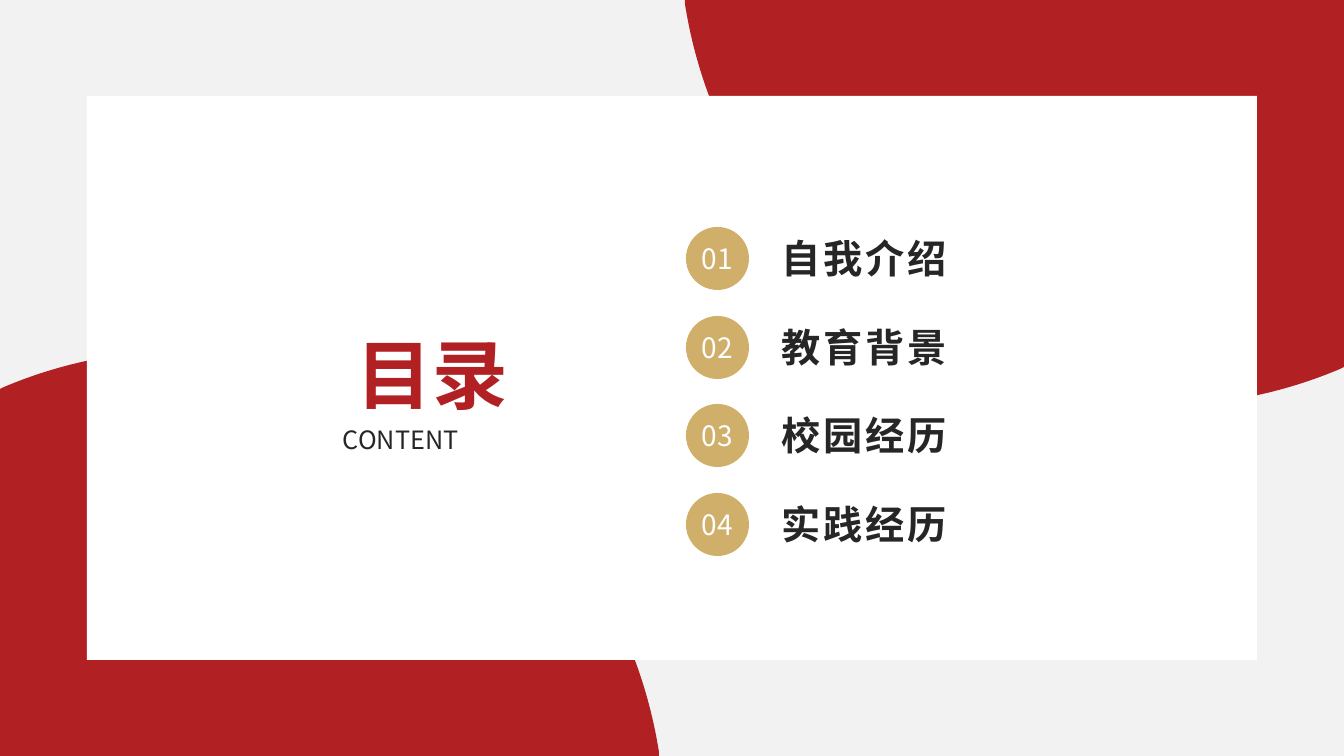
"""Builds the contents slide: a white card over two red curves, with four numbered entries."""
import dataclasses

import pptx
import pptx.dml.color
import pptx.enum.shapes
import pptx.enum.text
import pptx.oxml.ns
import pptx.util
from lxml import etree

WIDTH, HEIGHT = 1344, 756
EMU_PER_PX = 12192000 / WIDTH
FONT = "Noto Sans CJK SC"
RED, GOLD, DARK, WHITE, GREY = "B12124", "CFAF6A", "262626", "FFFFFF", "F2F2F2"
ALIGN = pptx.enum.text.PP_ALIGN
ANCHOR = pptx.enum.text.MSO_ANCHOR
SHAPE = pptx.enum.shapes.MSO_SHAPE
Point = tuple[int, int]


@dataclasses.dataclass
class Box:
    left: int
    top: int
    width: int
    height: int

    def emu(self) -> list[int]:
        return [px(v) for v in (self.left, self.top, self.width, self.height)]


@dataclasses.dataclass
class Style:
    size: int
    color: str
    bold: bool = False
    spacing: int = 0
    align: ALIGN = ALIGN.LEFT
    anchor: ANCHOR = ANCHOR.TOP
    inset: int = 0
    wrap: bool = True
    grow: bool = True


@dataclasses.dataclass
class Entry:
    number: str
    label: str


ENTRIES = [
    Entry("01", "自我介绍"),
    Entry("02", "教育背景"),
    Entry("03", "校园经历"),
    Entry("04", "实践经历"),
]
TITLE = Style(54, RED, bold=True, align=ALIGN.CENTER, wrap=False)
SUBTITLE = Style(18, DARK, align=ALIGN.JUSTIFY)
NUMBER = Style(20, WHITE, align=ALIGN.CENTER, anchor=ANCHOR.MIDDLE, grow=False)
LABEL = Style(28, DARK, bold=True, spacing=200, inset=1)

CORNER = [
    (WIDTH, 0), (685, 0), (685, 4),
    (721, 232), (917, 406), (1155, 406),
    (1221, 406), (1283, 393), (1340, 369),
    (WIDTH, 367),
]
CURVE_STARTS = (2, 5)


def px(value: float) -> int:
    return round(value * EMU_PER_PX)


def rgb(color: str) -> pptx.dml.color.RGBColor:
    return pptx.dml.color.RGBColor.from_string(color)


def paint(sp, color: str) -> None:
    sp.fill.solid()
    sp.fill.fore_color.rgb = rgb(color)
    sp.line.fill.background()
    sp.shadow.inherit = False


def add_filled(s, kind: SHAPE, box: Box, color: str) -> None:
    paint(s.shapes.add_shape(kind, *box.emu()), color)


def write(sp, text: str, style: Style) -> None:
    tf = sp.text_frame
    tf.word_wrap = style.wrap
    tf.vertical_anchor = style.anchor
    sizes = pptx.enum.text.MSO_AUTO_SIZE
    tf.auto_size = sizes.SHAPE_TO_FIT_TEXT if style.grow else sizes.NONE
    tf.margin_left = tf.margin_right = pptx.util.Inches(0.1 * style.inset)
    tf.margin_top = tf.margin_bottom = pptx.util.Inches(0.05 * style.inset)
    p = tf.paragraphs[0]
    p.alignment = style.align
    r = p.add_run()
    r.text = text
    r.font.name = FONT
    r.font.size = pptx.util.Pt(style.size)
    r.font.bold = style.bold
    r.font.color.rgb = rgb(style.color)
    props = r._r.get_or_add_rPr()
    etree.SubElement(props, pptx.oxml.ns.qn("a:ea"), typeface=FONT)
    if style.spacing:
        props.set("spc", str(style.spacing))


def add_text(s, box: Box, text: str, style: Style) -> None:
    write(s.shapes.add_textbox(*box.emu()), text, style)


def add_curved(s, points: list[Point], color: str) -> None:
    start, *rest = [(px(x), px(y)) for x, y in points]
    builder = s.shapes.build_freeform(*start)
    builder.add_line_segments(rest, close=True)
    sp = builder.convert_to_shape()
    segments = list(sp.element.iter(pptx.oxml.ns.qn("a:lnTo")))
    for first in CURVE_STARTS:
        lines = segments[first:first + 3]
        curve = etree.Element(pptx.oxml.ns.qn("a:cubicBezTo"))
        lines[0].addprevious(curve)
        for line in lines:
            curve.append(line[0])
            line.getparent().remove(line)
    paint(sp, color)


def add_entry(s, entry: Entry, top: int) -> None:
    add_filled(s, SHAPE.OVAL, Box(686, top, 63, 63), GOLD)
    add_text(s, Box(772, top + 2, 382, 57), entry.label, LABEL)
    add_text(s, Box(682, top + 5, 71, 52), entry.number, NUMBER)


def main() -> None:
    prs = pptx.Presentation()
    prs.slide_width, prs.slide_height = px(WIDTH), px(HEIGHT)
    s = prs.slides.add_slide(prs.slide_layouts[5])

    add_filled(s, SHAPE.RECTANGLE, Box(0, 0, WIDTH, HEIGHT), GREY)
    add_curved(s, CORNER, RED)
    add_curved(s, [(WIDTH - x, HEIGHT - y) for x, y in CORNER], RED)
    add_filled(s, SHAPE.RECTANGLE, Box(87, 96, 1170, 564), WHITE)

    for i, entry in enumerate(ENTRIES):
        add_entry(s, entry, 227 + round(i * 266 / 3))

    title = s.shapes.title
    title.left, title.top, title.width, title.height = Box(356, 328, 152, 92).emu()
    write(title, "目录", TITLE)
    s.shapes.element.append(title.element)
    add_text(s, Box(343, 424, 176, 30), "CONTENT", SUBTITLE)
    prs.save("out.pptx")


if __name__ == "__main__":
    main()
